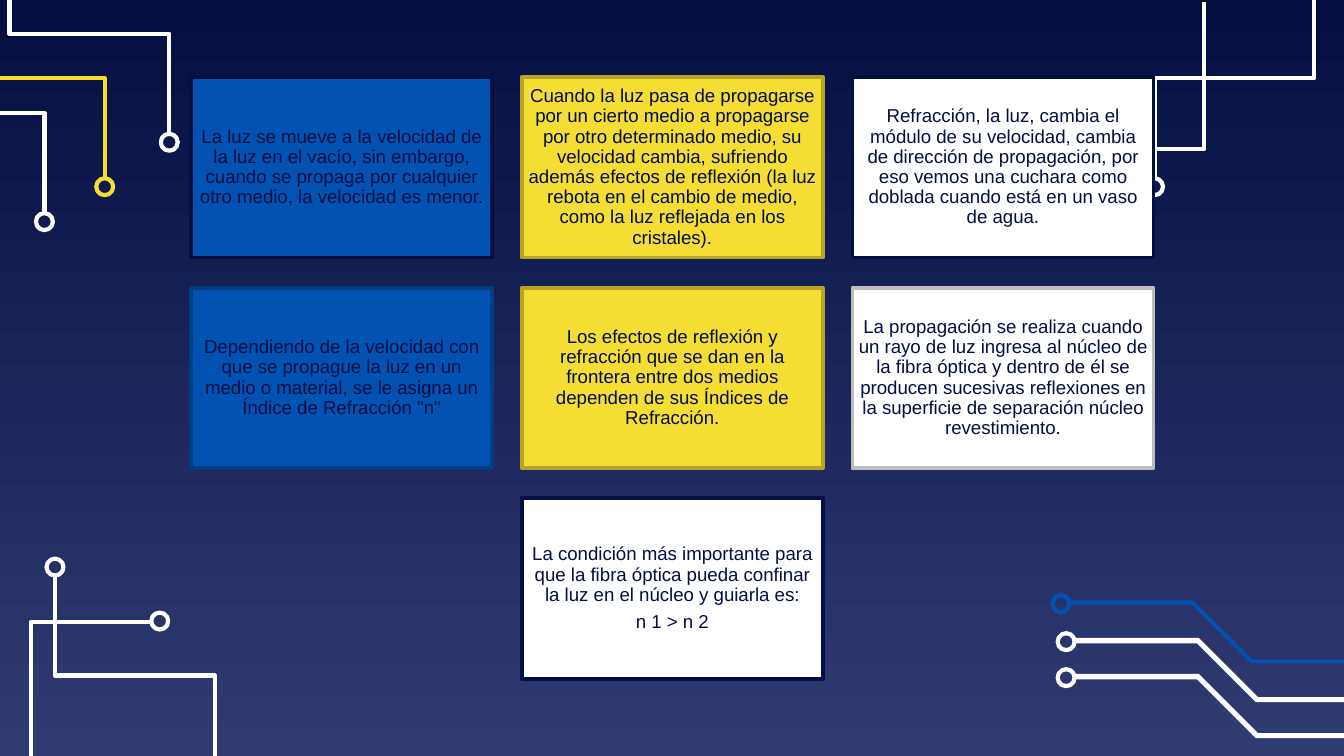
from dataclasses import dataclass

from pptx import Presentation
from pptx.dml.color import RGBColor
from pptx.enum.shapes import MSO_SHAPE
from pptx.enum.text import MSO_ANCHOR, PP_ALIGN
from pptx.util import Cm, Pt

RECT, OVAL = MSO_SHAPE.RECTANGLE, MSO_SHAPE.OVAL
MIDDLE, CENTER = MSO_ANCHOR.MIDDLE, PP_ALIGN.CENTER


@dataclass(frozen=True)
class Theme:
    """Colours, font and sizes of the slide."""
    navy: str = "040E41"
    dusk: str = "303B72"
    blue: str = "0152B1"
    deep: str = "013D83"
    yellow: str = "F5DE34"
    gold: str = "B5A426"
    white: str = "FFFFFF"
    gray: str = "BDBDBD"
    font: str = "Arial"
    size: float = 10
    wire: float = 2.25
    edge: float = 2
    thin: float = 0.75


THEME = Theme()

CARDS = [
    (0, 0, THEME.blue, THEME.navy, [
        "La luz se mueve a la velocidad de la luz en el vacío, sin embargo, "
        "cuando se propaga por cualquier otro medio, la velocidad es menor."]),
    (1, 0, THEME.yellow, THEME.gold, [
        "Cuando la luz pasa de propagarse por un cierto medio a propagarse "
        "por otro determinado medio, su velocidad cambia, sufriendo además "
        "efectos de reflexión (la luz rebota en el cambio de medio, como la "
        "luz reflejada en los cristales)."]),
    (2, 0, THEME.white, THEME.navy, [
        "Refracción, la luz, cambia el módulo de su velocidad, cambia de "
        "dirección de propagación, por eso vemos una cuchara como doblada "
        "cuando está en un vaso de agua."]),
    (0, 1, THEME.blue, THEME.deep, [
        "Dependiendo de la velocidad con que se propague la luz en un medio "
        'o material, se le asigna un Índice de Refracción "n"']),
    (1, 1, THEME.yellow, THEME.gold, [
        "Los efectos de reflexión y refracción que se dan en la frontera "
        "entre dos medios dependen de sus Índices de Refracción."]),
    (2, 1, THEME.white, THEME.gray, [
        "La propagación se realiza cuando un rayo de luz ingresa al núcleo "
        "de la fibra óptica y dentro de él se producen sucesivas reflexiones "
        "en la superficie de separación núcleo revestimiento."]),
    (1, 2, THEME.white, THEME.navy, [
        "La condición más importante para que la fibra óptica pueda confinar "
        "la luz en el núcleo y guiarla es:",
        "n 1 > n 2"]),
]

BUSES = [
    (20.19, 11.35, THEME.blue, 0),
    (20.29, 12.07, THEME.white, THEME.thin),
    (20.29, 12.75, THEME.white, THEME.thin),
]
RIBBON = [(0, 0), (2.36, 0), (3.48, 1.12), (5.33, 1.12),
          (5.33, 1.19), (3.45, 1.19), (2.34, 0.08), (0, 0.08)]

ELBOWS = [
    (1.04, 10.87, 1, 1, THEME.white),
    (21.82, 3.38, 1, -1, THEME.white),
    (0.84, 4.04, -1, -1, THEME.white),
    (1.98, 3.38, -1, -1, THEME.yellow),
    (3.2, 2.54, -1, -1, THEME.white),
]


def paint(shape, fill, line, width):
    """Set fill and outline, with None for an empty fill and 0 for no line."""
    shape.shadow.inherit = False
    if fill:
        shape.fill.solid()
        shape.fill.fore_color.rgb = RGBColor.from_string(fill)
    else:
        shape.fill.background()
    if width:
        shape.line.color.rgb = RGBColor.from_string(line)
        shape.line.width = Pt(width)
    else:
        shape.line.fill.background()


def draw(slide, points, close):
    """Build a freeform through points given in centimetres."""
    spots = [(Cm(x), Cm(y)) for x, y in points]
    pen = slide.shapes.build_freeform(*spots[0])
    pen.add_line_segments(spots[1:], close=close)
    return pen.convert_to_shape()


def add_wire(slide, points, color):
    """Draw an open circuit line."""
    paint(draw(slide, points, False), None, color, THEME.wire)


def add_ring(slide, x, y, color):
    """Draw a circuit node around its centre."""
    side = 0.32
    ring = slide.shapes.add_shape(
        OVAL, Cm(x - side / 2), Cm(y - side / 2), Cm(side), Cm(side))
    paint(ring, None, color, THEME.wire)


def add_bus(slide, x, y, color, width):
    """Draw a bent ribbon with a node at its left end."""
    band = draw(slide, [(x + dx, y + dy) for dx, dy in RIBBON], True)
    paint(band, color, color, width)
    add_ring(slide, x - 0.14, y + 0.06, color)


def add_elbow(slide, x, y, across, down, color):
    """Draw a stepped wire with a node at its start."""
    turn, end = y + 1.9 * down, y + 3.65 * down
    side = x + 3.02 * across
    add_wire(slide, [(x, y), (x, turn), (side, turn), (side, end)], color)
    add_ring(slide, x, y - 0.15 * down, color)


def add_card(slide, col, row, fill, line, lines):
    """Add a text card at a grid cell."""
    card = slide.shapes.add_shape(
        RECT, Cm(3.61 + 6.25 * col), Cm(1.46 + 3.98 * row), Cm(5.69), Cm(3.41))
    paint(card, fill, line, THEME.edge)
    frame = card.text_frame
    frame.word_wrap = True
    frame.vertical_anchor = MIDDLE
    frame.margin_left = frame.margin_right = Cm(0.1)
    frame.margin_top = frame.margin_bottom = Cm(0.1)
    frame.text = "\n".join(lines)
    for para in frame.paragraphs:
        para.alignment = CENTER
        para.line_spacing = 0.9
        para.space_after = Pt(3.5)
        para.font.name = THEME.font
        para.font.size = Pt(THEME.size)
        para.font.color.rgb = RGBColor.from_string(THEME.navy)


def set_back(slide):
    """Fill the background with a gradient from top to bottom."""
    fill = slide.background.fill
    fill.gradient()
    fill.gradient_angle = 270
    for stop, place, color in zip(
            fill.gradient_stops, (0, 1), (THEME.navy, THEME.dusk)):
        stop.position = place
        stop.color.rgb = RGBColor.from_string(color)


def main():
    """Build and save the slide."""
    deck = Presentation()
    deck.slide_width, deck.slide_height = Cm(25.4), Cm(14.29)
    slide = deck.slides.add_slide(deck.slide_layouts[6])
    set_back(slide)
    for bus in BUSES:
        add_bus(slide, *bus)
    add_wire(slide, [(2.87, 11.76), (0.58, 11.76), (0.58, 14.5)], THEME.white)
    add_ring(slide, 3.02, 11.74, THEME.white)
    add_wire(slide, [(19.69, 2.82), (22.76, 2.82), (22.76, 0.03)], THEME.white)
    for elbow in ELBOWS:
        add_elbow(slide, *elbow)
    for card in CARDS:
        add_card(slide, *card)
    deck.save("out.pptx")


if __name__ == "__main__":
    main()
